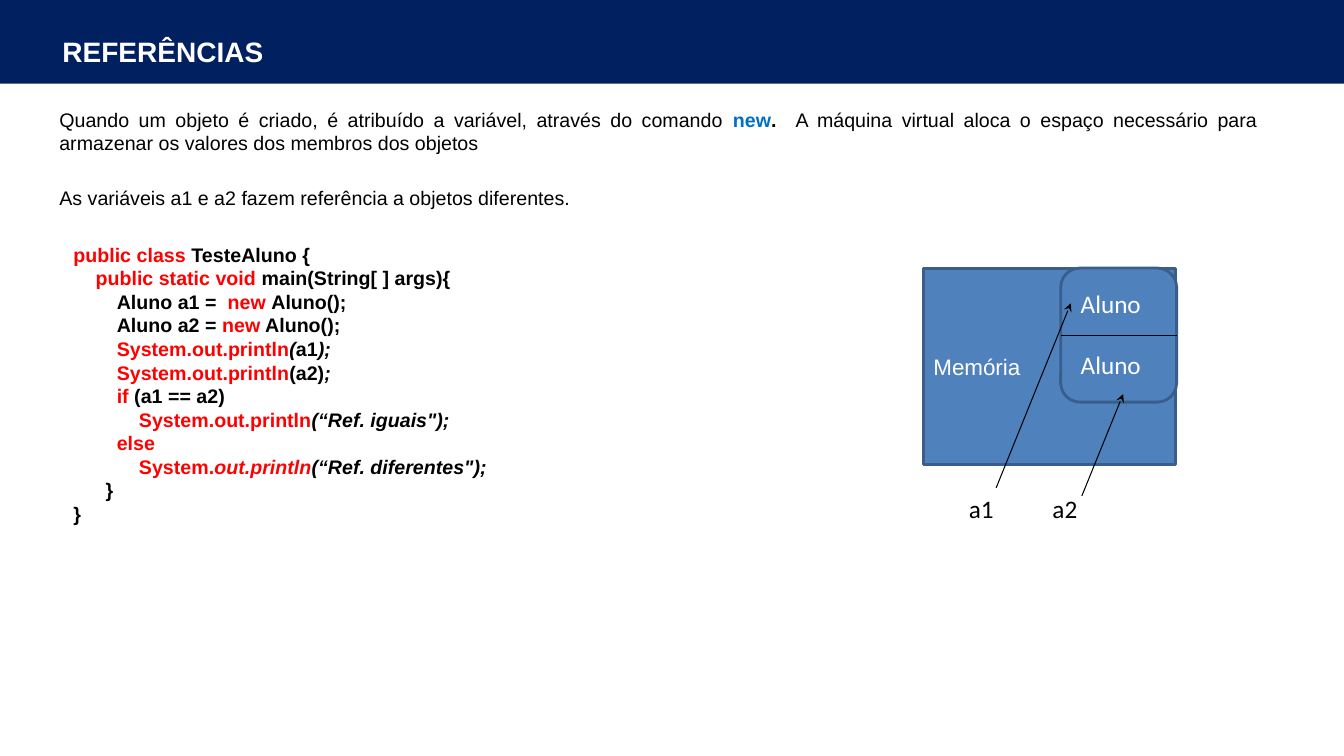
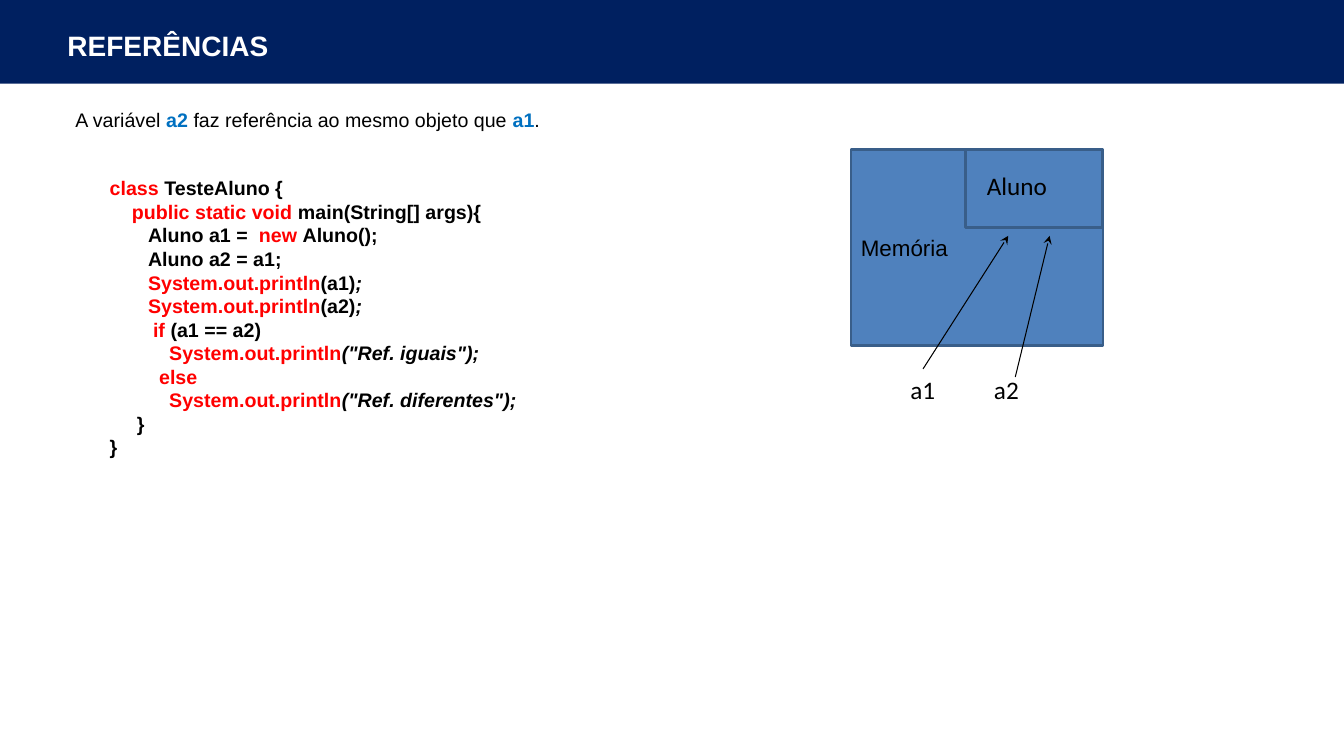
from dataclasses import dataclass, field

from pptx import Presentation
from pptx.dml.color import RGBColor as RGB
from pptx.enum.shapes import MSO_CONNECTOR as LINK, MSO_SHAPE as SHAPE
from pptx.enum.text import MSO_ANCHOR as ANCHOR, MSO_AUTO_SIZE as FIT, PP_ALIGN as ALIGN
from pptx.oxml.xmlchemy import OxmlElement as Node
from pptx.util import Pt

SCALE = 9144
SPACE = 5.4


def px(num):
    return round(num) * SCALE


def put(item, vals):
    for key, val in vals.items():
        setattr(item, key, val)


def style(name, size, color, bold=False, slant=False):
    font = {"name": name, "size": Pt(size), "bold": bold, "italic": slant}
    return font, RGB.from_string(color)


@dataclass(frozen=True)
class Theme:
    navy: RGB = RGB.from_string("002060")
    blue: RGB = RGB.from_string("4F81BD")
    edge: RGB = RGB.from_string("395E89")
    black: RGB = RGB.from_string("000000")
    thick: int = Pt(2)
    thin: int = Pt(0.75)
    fonts: dict = field(default_factory=lambda: {
        "title": style("Arial", 20, "FFFFFF", True),
        "body": style("Arial", 14, "000000"),
        "mark": style("Arial", 14, "0070C0", True),
        "code": style("Arial", 14, "000000", True),
        "slant": style("Arial", 14, "000000", True, True),
        "key": style("Arial", 14, "FF0000", True),
        "keyslant": style("Arial", 14, "FF0000", True, True),
        "light": style("Arial", 16, "FFFFFF"),
        "dark": style("Arial", 16, "000000"),
        "tag": style("Calibri", 18, "000000"),
        "tagwhite": style("Calibri", 18, "FFFFFF"),
    })


class Deck:
    def __init__(self):
        self.theme = Theme()
        self.file = Presentation()
        put(self.file, {"slide_width": px(1333), "slide_height": px(750)})
        self.slide = None

    def page(self, x, y):
        self.slide = self.file.slides.add_slide(self.file.slide_layouts[6])
        if len(self.file.slides) == 1:
            self.band()
        self.text((x, y, 867, 44), [("title", "REFERÊNCIAS")])

    def band(self):
        band = self.box((-1, 0, 1335, 83), self.theme.navy).element
        band.nvSpPr.cNvPr.id = 99
        self.file.slide_master.shapes.element.append(band)

    def box(self, rect, fill, edge=None, kind=SHAPE.RECTANGLE):
        box = self.slide.shapes.add_shape(kind, *map(px, rect))
        box.shadow.inherit = False
        box.fill.solid()
        box.fill.fore_color.rgb = fill
        if edge is None:
            box.line.fill.background()
        else:
            box.line.color.rgb = edge
            box.line.width = self.theme.thick
        return box

    def cell(self, rect, kind=SHAPE.RECTANGLE):
        return self.box(rect, self.theme.blue, self.theme.edge, kind)

    def words(self, para, runs, align=ALIGN.LEFT):
        para.alignment = align
        for key, words in runs:
            run = para.add_run()
            run.text = words
            font, color = self.theme.fonts[key]
            put(run.font, font)
            run.font.color.rgb = color

    def frame(self, rect):
        box = self.slide.shapes.add_textbox(*map(px, rect))
        put(box.text_frame, {"word_wrap": True, "auto_size": FIT.SHAPE_TO_FIT_TEXT})
        return box

    def text(self, rect, runs, align=ALIGN.LEFT):
        box = self.frame(rect)
        self.words(box.text_frame.paragraphs[0], runs, align)
        return box

    def code(self, rect, rows):
        frame = self.frame(rect).text_frame
        for num, (indent, *runs) in enumerate(rows):
            para = frame.add_paragraph() if num else frame.paragraphs[0]
            para._p.get_or_add_pPr().set("marL", str(px(indent * SPACE)))
            self.words(para, runs)

    def store(self, x, y, key):
        box = self.cell((x, y, 250, 195))
        box.text_frame.vertical_anchor = ANCHOR.MIDDLE
        self.words(box.text_frame.paragraphs[0], [(key, "Memória")])

    def tag(self, x, y, wide, words, key="tag"):
        return self.text((x, y, wide, 40), [(key, words)])

    def names(self, x, y):
        first = self.tag(x, y, 45, "a1")
        self.tag(x + 83, y, 60, "a2")
        return first

    def line(self, start, end, head=False):
        line = self.slide.shapes.add_connector(LINK.STRAIGHT, *map(px, start + end))
        line.line.color.rgb = self.theme.black
        line.line.width = self.theme.thin
        if head:
            tip = Node("a:tailEnd")
            tip.set("type", "stealth")
            line.get_or_add_ln().append(tip)
        line.element.spPr.append(Node("a:effectLst"))
        return line

    def save(self):
        self.file.save("out.pptx")


PRINT = ("key", "System.out.println")
MAKE = (("code", "Aluno a1 ="), ("key", "  new "), ("code", "Aluno();"))
TEST = (("key", "if"), ("code", " (a1 == a2)"))


def show(name):
    return PRINT, ("code", f"({name})"), ("slant", ";")


def split(deck):
    deck.page(52, 29)
    deck.code((63, 236, 771, 293), [
        (0, ("key", "public class"), ("code", " TesteAluno {")),
        (4, ("key", "public static void "), ("code", "main(String[ ] args){")),
        (8, *MAKE),
        (8, ("code", "Aluno a2 = "), ("key", "new"), ("code", " Aluno();")),
        (8, PRINT, ("slant", "("), ("code", "a1"), ("slant", ");")),
        (8, *show("a2")),
        (8, *TEST),
        (12, PRINT, ("slant", "(“Ref. iguais\");")),
        (8, ("key", "else")),
        (12, ("key", "System."), ("keyslant", "out.println"),
         ("slant", "(“Ref. diferentes\");")),
        (6, ("code", "}")),
        (0, ("code", "}")),
    ])
    deck.store(916, 266, "light")
    pair = deck.cell((1052, 266, 115, 133), SHAPE.ROUNDED_RECTANGLE)
    rule = deck.line((1052, 332), (1167, 332))
    rule.begin_connect(pair, 1)
    rule.end_connect(pair, 3)
    for y in (281, 342):
        deck.tag(1062, y, 81, "Aluno", "tagwhite")
    deck.names(951, 484)
    deck.line((988, 484), (1062, 301), True)
    deck.line((1073, 492), (1114, 391), True)
    deck.text((49, 180, 529, 34), [
        ("body", "As variáveis a1 e a2 fazem referência a objetos diferentes.")])
    deck.text((49, 102, 1208, 57), [
        ("body", "Quando um objeto é criado, é atribuído a variável, através do comando "),
        ("mark", "new"), ("code", ".  "),
        ("body", "A máquina virtual aloca o espaço necessário para armazenar "
                 "os valores dos membros dos objetos"),
    ], ALIGN.JUSTIFY)


def shared(deck):
    deck.page(57, 23)
    deck.store(844, 148, "dark")
    first = deck.names(893, 366)
    deck.line((915, 366), (1000, 234), True).begin_connect(first, 0)
    deck.line((1007, 374), (1041, 234), True)
    deck.cell((958, 148, 135, 78))
    deck.tag(969, 164, 107, "Aluno")
    deck.text((65, 102, 482, 34), [
        ("body", "A variável "), ("mark", "a2 "),
        ("body", "faz referência ao mesmo objeto que "), ("mark", "a1"), ("body", "."),
    ])
    deck.code((99, 170, 656, 293), [
        (0, ("key", "class"), ("code", " TesteAluno {")),
        (4, ("key", "public static void "), ("code", "main(String[] args){")),
        (7, *MAKE),
        (7, ("code", "Aluno a2 = a1;")),
        (7, *show("a1")),
        (7, *show("a2")),
        (8, *TEST),
        (11, PRINT, ("slant", "(\"Ref. iguais\");")),
        (9, ("key", "else")),
        (11, PRINT, ("slant", "(\"Ref. diferentes\");")),
        (5, ("code", "}")),
        (0, ("code", "}")),
    ])


def main():
    deck = Deck()
    split(deck)
    shared(deck)
    deck.save()


if __name__ == "__main__":
    main()
